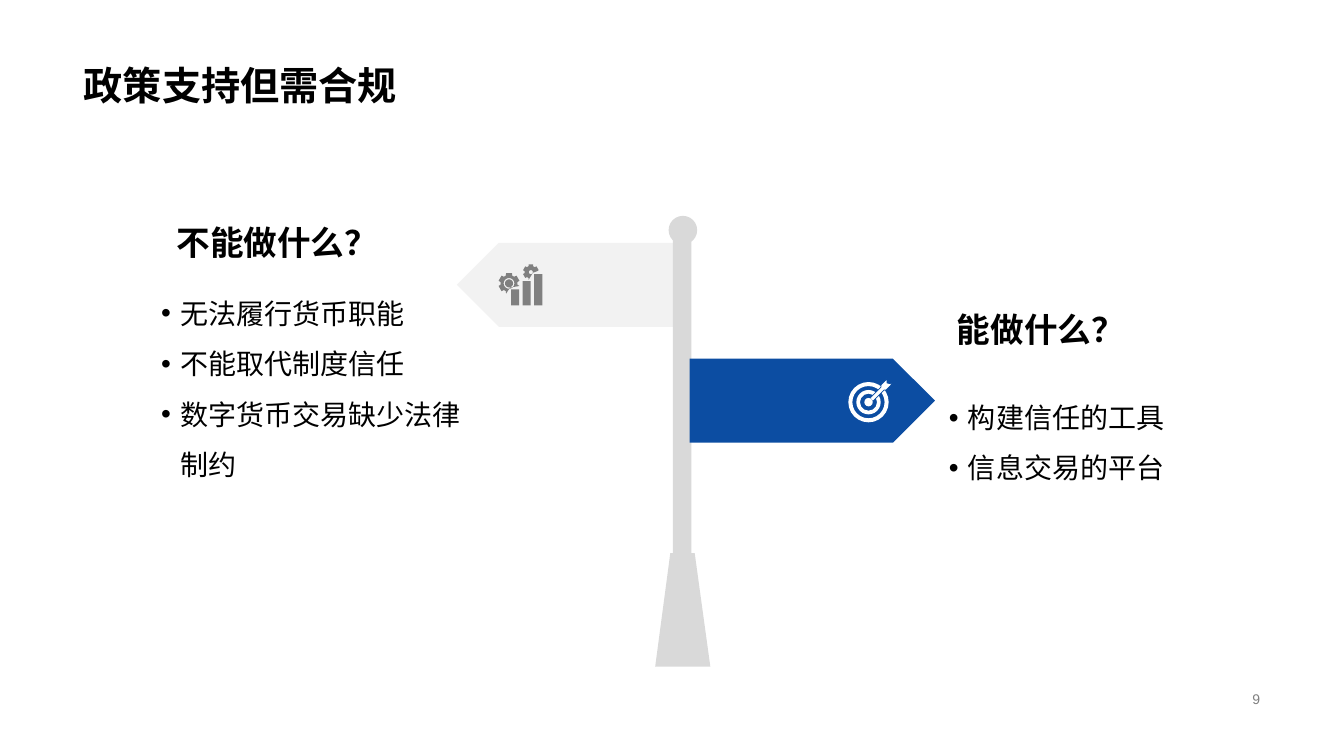
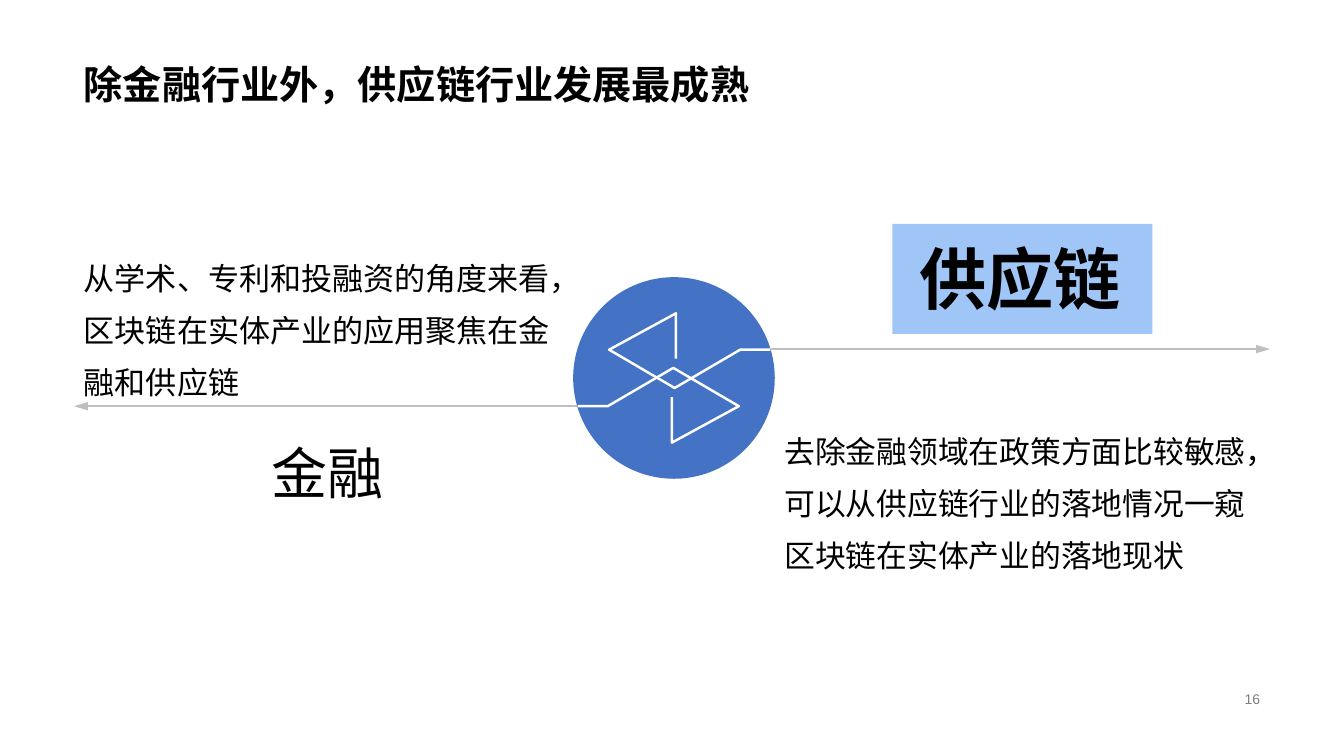
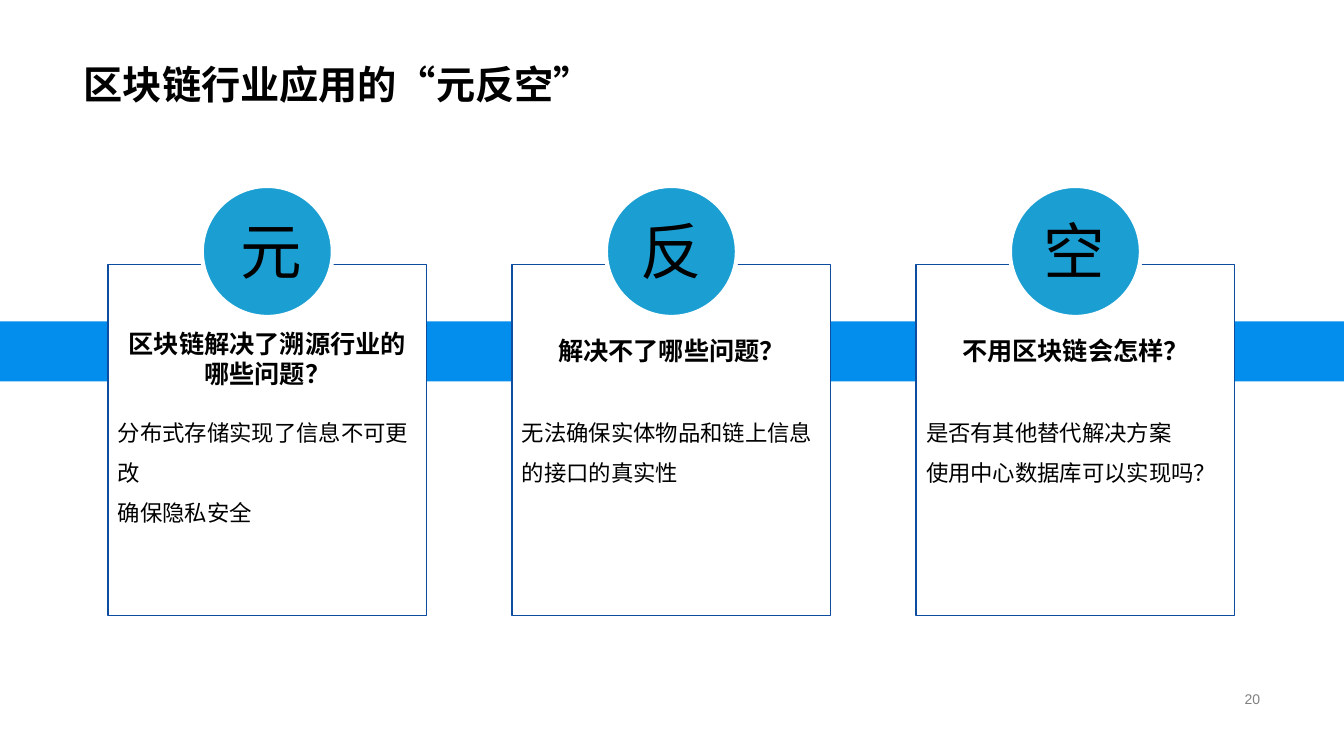
"""Builds three slides on blockchain policy, industries and open questions."""
import math
from dataclasses import dataclass, replace
from typing import Optional

from lxml import etree
from pptx import Presentation
from pptx import slide as slides
from pptx import util as u
from pptx.dml.color import RGBColor
from pptx.enum import lang, shapes, text
from pptx.oxml import ns
from pptx.shapes import autoshape

COLUMNS, ROWS = 80, 45
CELL = u.Inches(1 / 6)
MARGIN, CONTENT_WIDTH = 4.4, 71.2
FONT = "Arial"
BULLET_INDENT = u.Inches(0.19)

BLACK = RGBColor(0x00, 0x00, 0x00)
WHITE = RGBColor(0xFF, 0xFF, 0xFF)
GREY = RGBColor(0x80, 0x80, 0x80)
ARROW_GREY = RGBColor(0xBF, 0xBF, 0xBF)
POST_GREY = RGBColor(0xD9, 0xD9, 0xD9)
SIGN_GREY = RGBColor(0xF2, 0xF2, 0xF2)
NAVY = RGBColor(0x0C, 0x4D, 0xA2)
HUB_BLUE = RGBColor(0x44, 0x72, 0xC4)
LABEL_BLUE = RGBColor(0x43, 0x8F, 0xF1)
BAND_BLUE = RGBColor(0x03, 0x8E, 0xED)
BADGE_BLUE = RGBColor(0x1B, 0x9E, 0xD2)

LEFT, CENTER, RIGHT = text.PP_ALIGN.LEFT, text.PP_ALIGN.CENTER, text.PP_ALIGN.RIGHT
TOP, MIDDLE, BOTTOM = text.MSO_ANCHOR.TOP, text.MSO_ANCHOR.MIDDLE, text.MSO_ANCHOR.BOTTOM
Preset = shapes.MSO_SHAPE
Point = tuple[float, float]


@dataclass(frozen=True)
class Box:
    """Area in grid columns and rows."""
    column: float
    row: float
    width: float
    height: float

    def lengths(self) -> list[int]:
        """Return left, top, width and height as slide lengths."""
        return [cells(value) for value in (self.column, self.row, self.width, self.height)]


@dataclass(frozen=True)
class TextStyle:
    """Look of a block of text."""
    size: float
    bold: bool = False
    color: RGBColor = BLACK
    align: text.PP_ALIGN = LEFT
    anchor: text.MSO_ANCHOR = TOP
    spacing: Optional[float] = None
    bullet: bool = False
    wrap: bool = True


@dataclass(frozen=True)
class SignText:
    """Heading and bullets beside one arm of the signpost."""
    heading: str
    heading_box: Box
    bullets: list[str]
    bullets_box: Box
    align: text.PP_ALIGN


@dataclass(frozen=True)
class Card:
    """Badge, question and answers of one card."""
    badge: str
    badge_column: float
    question: str
    question_height: float
    answers: list[str]


TITLE = TextStyle(28, bold=True, anchor=BOTTOM, spacing=0.9)
PAGE_NUMBER = TextStyle(10, color=GREY, align=RIGHT, anchor=MIDDLE)

SIGN_TEXTS = [
    SignText("不能做什么？ ", Box(3.15, 11.4, 20.4, 4.5),
             ["无法履行货币职能", "不能取代制度信任", "数字货币交易缺少法律制约"],
             Box(9, 16.35, 19.3, 9.3), LEFT),
    SignText("能做什么？", Box(48.1, 16.6, 19.45, 4.5),
             ["构建信任的工具", "信息交易的平台"],
             Box(50.45, 22.55, 19.45, 4.75), RIGHT),
]

CARDS = [
    Card("元", 13.7, "区块链解决了溯源行业的哪些问题？", 4.4,
         ["分布式存储实现了信息不可更改", "确保隐私安全"]),
    Card("反", 37.55, "解决不了哪些问题？", 3.4,
         ["无法确保实体物品和链上信息的接口的真实性"]),
    Card("空", 61.5, "不用区块链会怎样？", 3.4,
         ["是否有其他替代解决方案", "使用中心数据库可以实现吗？"]),
]


def cells(count: float) -> int:
    """Turn a number of grid cells into a slide length."""
    return round(count * CELL)


def circle(center: Point, diameter: float) -> Box:
    """Return the box around a circle."""
    return Box(center[0] - diameter / 2, center[1] - diameter / 2, diameter, diameter)


def polar(center: Point, radius: float, degrees: float) -> Point:
    """Return the point at an angle and distance from a center."""
    angle = math.radians(degrees)
    return center[0] + radius * math.cos(angle), center[1] + radius * math.sin(angle)


def add_bullet(paragraph) -> None:
    """Give a paragraph a hanging round bullet."""
    properties = paragraph._p.get_or_add_pPr()
    properties.set("marL", str(BULLET_INDENT))
    properties.set("indent", str(-BULLET_INDENT))
    etree.SubElement(properties, ns.qn("a:buFont")).set("typeface", FONT)
    etree.SubElement(properties, ns.qn("a:buChar")).set("char", "•")


def add_text(slide: slides.Slide, box: Box, lines: list[str], style: TextStyle) -> None:
    """Add a text box with one paragraph per line."""
    frame = slide.shapes.add_textbox(*box.lengths()).text_frame
    frame.word_wrap = style.wrap
    frame.vertical_anchor = style.anchor
    for index, line in enumerate(lines):
        paragraph = frame.add_paragraph() if index else frame.paragraphs[0]
        paragraph.alignment = style.align
        if style.spacing:
            paragraph.line_spacing = style.spacing
        if style.bullet:
            add_bullet(paragraph)
        run = paragraph.add_run()
        run.text = line
        run.font.name = FONT
        run.font.size = u.Pt(style.size)
        run.font.bold = style.bold
        run.font.color.rgb = style.color
        run.font.language_id = lang.MSO_LANGUAGE_ID.SIMPLIFIED_CHINESE


def paint(shape: autoshape.Shape, fill: Optional[RGBColor],
          line: Optional[RGBColor] = None, line_width: float = 1) -> None:
    """Set fill and line and drop the shadow."""
    shape.shadow.inherit = False
    if fill is None:
        shape.fill.background()
    else:
        shape.fill.solid()
        shape.fill.fore_color.rgb = fill
    if line is None:
        shape.line.fill.background()
    else:
        shape.line.color.rgb = line
        shape.line.width = u.Pt(line_width)


def add_preset(slide: slides.Slide, preset: Preset, box: Box, fill: RGBColor,
               line: Optional[RGBColor] = None, line_width: float = 1) -> autoshape.Shape:
    """Add a painted preset shape."""
    shape = slide.shapes.add_shape(preset, *box.lengths())
    paint(shape, fill, line, line_width)
    return shape


def add_outline(slide: slides.Slide, contours: list[list[Point]], fill: Optional[RGBColor],
                line: Optional[RGBColor] = None, line_width: float = 1) -> None:
    """Add one freeform of several contours, closed when it is filled."""
    builder = None
    for contour in contours:
        start, *others = [(cells(column), cells(row)) for column, row in contour]
        if builder is None:
            builder = slide.shapes.build_freeform(*start)
        else:
            builder.move_to(*start)
        builder.add_line_segments(others, close=fill is not None)
    paint(builder.convert_to_shape(), fill, line, line_width)


def add_arrow(slide: slides.Slide, start: Point, end: Point) -> None:
    """Add a grey line with a long arrowhead at its end."""
    ends = [cells(value) for value in (*start, *end)]
    arrow = slide.shapes.add_connector(shapes.MSO_CONNECTOR.STRAIGHT, *ends)
    arrow.line.color.rgb = ARROW_GREY
    arrow.line.width = u.Pt(1.75)
    properties = arrow._element.spPr
    head = etree.SubElement(properties.find(ns.qn("a:ln")), ns.qn("a:tailEnd"))
    head.set("type", "triangle")
    head.set("len", "lg")
    etree.SubElement(properties, ns.qn("a:effectLst"))


def set_opacity(shape: autoshape.Shape, percent: int) -> None:
    """Make the solid fill of a shape see-through."""
    color = shape._element.spPr.find(ns.qn("a:solidFill")).find(ns.qn("a:srgbClr"))
    etree.SubElement(color, ns.qn("a:alpha")).set("val", str(percent * 1000))


def add_slide(presentation, title: str, number: int, spacing: float = 0.9) -> slides.Slide:
    """Add a blank slide with title and page number."""
    slide = presentation.slides.add_slide(presentation.slide_layouts[6])
    add_text(slide, Box(MARGIN, 0, CONTENT_WIDTH, 6.75), [title], replace(TITLE, spacing=spacing))
    number_width = 19.1
    number_box = Box(MARGIN + CONTENT_WIDTH - number_width, 40.9, number_width, 1.4)
    add_text(slide, number_box, [str(number)], PAGE_NUMBER)
    return slide


def gear(center: Point, radius: float, corner: Point) -> list[Point]:
    """Return a six-toothed wheel cut away below and right of a corner."""
    tooth = ((-22, 0.78), (-16, 1), (16, 1), (22, 0.78))
    points = [polar(center, radius * share, 30 + turn * 60 + offset)
              for turn in range(6) for offset, share in tooth]
    return [corner if column > corner[0] and row > corner[1] else (column, row)
            for column, row in points]


def add_growth_icon(slide: slides.Slide) -> None:
    """Draw two gears above three rising bars."""
    bottom, width = 18.18, 0.48
    bars = []
    for index, top in enumerate((17.22, 16.74, 16.32)):
        left, right = 30.42 + index * 0.69, 30.42 + index * 0.69 + width
        bars.append([(left, top), (right, top), (right, bottom), (left, bottom)])
    large, small = (30.3, 16.87), (31.6, 16.2)
    holes = [[polar(center, radius, angle) for angle in range(0, 360, 20)]
             for center, radius in ((large, 0.32), (large, 0.24), (small, 0.12))]
    wheels = [gear(large, 0.64, (30.36, 17.12)), gear(small, 0.48, (31.72, 16.24))]
    add_outline(slide, bars + wheels + holes, GREY)


def add_target_icon(slide: slides.Slide) -> None:
    """Draw a target hit by an arrow."""
    center = (51.7, 23.94)
    for diameter, thickness in ((2.4, 0.1), (1.45, 0.15)):
        ring = add_preset(slide, Preset.DONUT, circle(center, diameter), WHITE)
        ring.adjustments[0] = thickness
    dart = [(51.78, 23.7), (52.44, 23.04), (52.44, 22.92), (52.8, 22.56), (52.8, 22.8),
            (53.1, 22.86), (52.74, 23.22), (52.62, 23.22), (51.96, 23.88)]
    add_outline(slide, [dart], WHITE, NAVY, 0.5)
    add_preset(slide, Preset.OVAL, circle(center, 0.5), WHITE)


def add_signpost_slide(presentation) -> None:
    """Show what is and is not allowed on a signpost."""
    slide = add_slide(presentation, "政策支持但需合规", 9, spacing=1.0)
    left_sign = add_preset(slide, Preset.PENTAGON, Box(27.2, 14.45, 13.1, 5), SIGN_GREY)
    left_sign.rotation = 180
    add_growth_icon(slide)
    add_preset(slide, Preset.RECTANGLE, Box(40.05, 14, 1.1, 19.4), POST_GREY)
    foot = [(41.35, 32.92), (42.28, 39.68), (39, 39.68), (39.9, 32.92)]
    add_outline(slide, [foot], POST_GREY)
    add_preset(slide, Preset.OVAL, circle((40.65, 13.7), 1.7), POST_GREY)
    add_preset(slide, Preset.PENTAGON, Box(41.05, 21.35, 14.6, 5), NAVY)
    add_target_icon(slide)
    for sign in SIGN_TEXTS:
        add_text(slide, sign.heading_box, [sign.heading],
                 TextStyle(24, bold=True, align=RIGHT, anchor=BOTTOM))
        add_text(slide, sign.bullets_box, sign.bullets,
                 TextStyle(20, align=sign.align, spacing=1.5, bullet=True))


def add_industry_slide(presentation) -> None:
    """Set finance against the supply chain."""
    slide = add_slide(presentation, "除金融行业外，供应链行业发展最成熟", 16)
    label = add_preset(slide, Preset.RECTANGLE, Box(53.12, 13.33, 15.48, 6.55), LABEL_BLUE)
    set_opacity(label, 50)

    center = (40.12, 22.5)
    add_arrow(slide, (34.75, 24.18), (MARGIN, 24.18))
    add_arrow(slide, (45.9, 20.78), (MARGIN + CONTENT_WIDTH, 20.78))
    add_preset(slide, Preset.OVAL, circle(center, 12), HUB_BLUE)
    ribbon = [(34.38, 24.18), (36.18, 24.18), (40.08, 21.9), (43.98, 24.18),
              (40, 26.35), (40, 23.65)]
    turned = [(2 * center[0] - column, 2 * center[1] - row) for column, row in ribbon]
    for points in (ribbon, turned):
        add_outline(slide, [points], None, WHITE, 1.75)

    add_text(slide, Box(MARGIN, 14.25, 29.45, 9.95),
             ["从学术、专利和投融资的角度来看，区块链在实体产业的应用聚焦在金融和供应链"],
             TextStyle(22.2, spacing=1.4))
    add_text(slide, Box(46.1, 24.6, 29.45, 9.95),
             ["去除金融领域在政策方面比较敏感，可以从供应链行业的落地情况一窥区块链在实体产业的落地现状"],
             TextStyle(22, spacing=1.4))
    add_text(slide, Box(15.6, 25.8, 7.9, 4.6), ["金融"], TextStyle(40, wrap=False))
    add_text(slide, Box(54.15, 13.85, 13.3, 5.45), ["供应链"],
             TextStyle(48, bold=True, wrap=False))


def add_cards_slide(presentation) -> None:
    """Ask three questions on a row of cards."""
    slide = add_slide(presentation, "区块链行业应用的“元反空”", 20)
    band_row, card_width, pitch = 19.13, 18.97, 24.05
    add_preset(slide, Preset.RECTANGLE, Box(0, band_row, COLUMNS, 3.58), BAND_BLUE)
    for index, card in enumerate(CARDS):
        column = 6.43 + index * pitch
        add_preset(slide, Preset.RECTANGLE, Box(column, 15.75, card_width, 20.88), WHITE, NAVY)
        add_text(slide, Box(column, band_row, card_width, card.question_height),
                 [card.question], TextStyle(18, bold=True, align=CENTER, anchor=MIDDLE))
        add_text(slide, Box(column, 23.83, card_width, 6), card.answers,
                 TextStyle(16, spacing=1.5))
        add_preset(slide, Preset.OVAL, circle((column + card_width / 2, 14.97), 7.8),
                   BADGE_BLUE, WHITE, 3)
        add_text(slide, Box(card.badge_column, 12.4, 4.9, 5.05), [card.badge],
                 TextStyle(44, wrap=False))


def main() -> None:
    """Build and save the presentation."""
    presentation = Presentation()
    presentation.slide_width = cells(COLUMNS)
    presentation.slide_height = cells(ROWS)
    add_signpost_slide(presentation)
    add_industry_slide(presentation)
    add_cards_slide(presentation)
    presentation.save("out.pptx")


if __name__ == "__main__":
    main()
